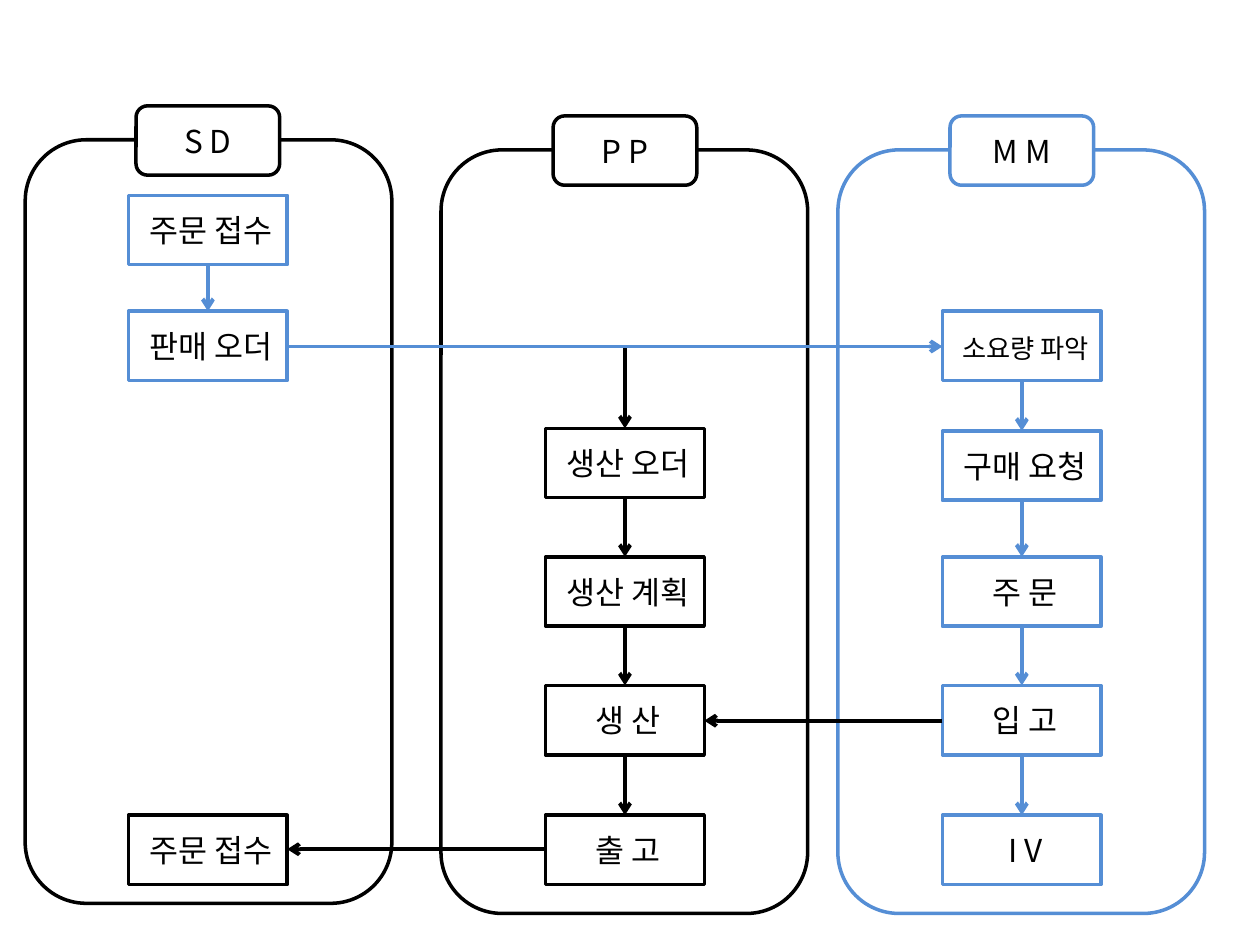
from itertools import pairwise

from lxml.etree import SubElement
from pptx import Presentation
from pptx.dml.color import RGBColor
from pptx.enum.shapes import MSO_CONNECTOR, MSO_SHAPE
from pptx.enum.text import MSO_ANCHOR, PP_ALIGN
from pptx.oxml.ns import qn
from pptx.util import Inches, Pt

BLACK, BLUE, WHITE = "000000", "558ED5", "FFFFFF"


def color(code):
    """Turn a hex string into a colour."""
    return RGBColor.from_string(code)


def write(para, text, size=18, font="Noto Sans CJK KR", ink=BLACK):
    """Add a formatted run to a paragraph."""
    run = para.add_run()
    run.text = text
    run.font.size = Pt(size)
    run.font.color.rgb = color(ink)
    run.font.name = font
    SubElement(run.font._element, qn("a:ea"), typeface=font)


class Chart:
    """Holds the slide and the style of the flow chart."""

    high, wide, tab = 0.55, 1.26, 1.14

    def __init__(self, slide):
        """Keep the slide to draw on."""
        self.slide = slide

    def shape(self, kind, left, top, wide, high, ink):
        """Draw a white shape with a coloured outline."""
        shape = self.slide.shapes.add_shape(
            kind, Inches(left), Inches(top), Inches(wide), Inches(high))
        shape.shadow.inherit = False
        shape.fill.solid()
        shape.fill.fore_color.rgb = color(WHITE)
        shape.line.color.rgb = color(ink)
        shape.line.width = Pt(2)
        frame = shape.text_frame
        frame.word_wrap = True
        frame.vertical_anchor = MSO_ANCHOR.MIDDLE
        para = frame.paragraphs[0]
        para.alignment = PP_ALIGN.CENTER
        return para

    def lane(self, left, top, ink):
        """Draw the tall frame of one module."""
        self.shape(MSO_SHAPE.ROUNDED_RECTANGLE, left, top, 2.91, 6.06, ink)

    def head(self, mid, top, text, ink):
        """Draw the label on top of a lane."""
        para = self.shape(MSO_SHAPE.ROUNDED_RECTANGLE, mid - self.tab / 2,
                          top - 0.27, self.tab, self.high, ink)
        write(para, text)

    def step(self, mid, top, text, ink, size=18):
        """Draw one step of the process."""
        para = self.shape(MSO_SHAPE.FLOWCHART_PROCESS, mid - self.wide / 2,
                          top, self.wide, self.high, ink)
        write(para, " ")
        write(para, text, size=size)

    def arrow(self, start, end, ink, bent=False):
        """Draw an arrow, straight or with one corner."""
        kind = MSO_CONNECTOR.ELBOW if bent else MSO_CONNECTOR.STRAIGHT
        link = self.slide.shapes.add_connector(
            kind, *map(Inches, start), *map(Inches, end))
        link.line.color.rgb = color(ink)
        link.line.width = Pt(2.25)
        SubElement(link.line._get_or_add_ln(), qn("a:tailEnd"), type="arrow")
        props = link._element.spPr
        SubElement(props, qn("a:effectLst"))
        if bent:
            props.find(qn("a:prstGeom")).set("prst", "bentConnector2")

    def chain(self, mid, tops, ink):
        """Join the steps of a column from top to bottom."""
        for top, low in pairwise(tops):
            self.arrow((mid, top + self.high), (mid, low), ink)


deck = Presentation()
deck.slide_width, deck.slide_height = Inches(10), Inches(7.5)
chart = Chart(deck.slides.add_slide(deck.slide_layouts[6]))

SD, PP, MM = 1.65, 4.96, 8.11
lanes = [(0.2, 1.11, SD, "S D", BLACK),
         (3.5, 1.19, PP, "P P", BLACK),
         (6.65, 1.19, MM, "M M", BLUE)]
flows = [
    (SD, BLUE, [(1.55, "주문 접수", 18), (2.47, "판매 오더", 18)]),
    (PP, BLACK, [(3.4, "생산 오더", 18), (4.42, "생산 계획", 18),
                 (5.44, "생 산", 18), (6.47, "출 고", 18)]),
    (MM, BLUE, [(2.47, "소요량 파악", 15), (3.42, "구매 요청", 18),
                (4.42, "주 문", 18), (5.44, "입 고", 18),
                (6.47, "I V", 18)]),
    (SD, BLACK, [(6.47, "주문 접수", 18)]),
]

for left, top, mid, name, ink in lanes:
    chart.lane(left, top, ink)
for mid, ink, steps in flows:
    for top, text, size in steps:
        chart.step(mid, top, text, ink, size)

half = chart.wide / 2
chart.arrow((SD + half, 2.75), (PP, 3.4), BLACK, bent=True)
chart.arrow((SD + half, 2.75), (MM - half, 2.75), BLUE)
for mid, ink, steps in flows:
    chart.chain(mid, [top for top, *rest in steps], ink)
for start, end, row in [(MM, PP, 5.72), (PP, SD, 6.74)]:
    chart.arrow((start - half, row), (end + half, row), BLACK)
for left, top, mid, name, ink in lanes:
    chart.head(mid, top, name, ink)

deck.save("out.pptx")
